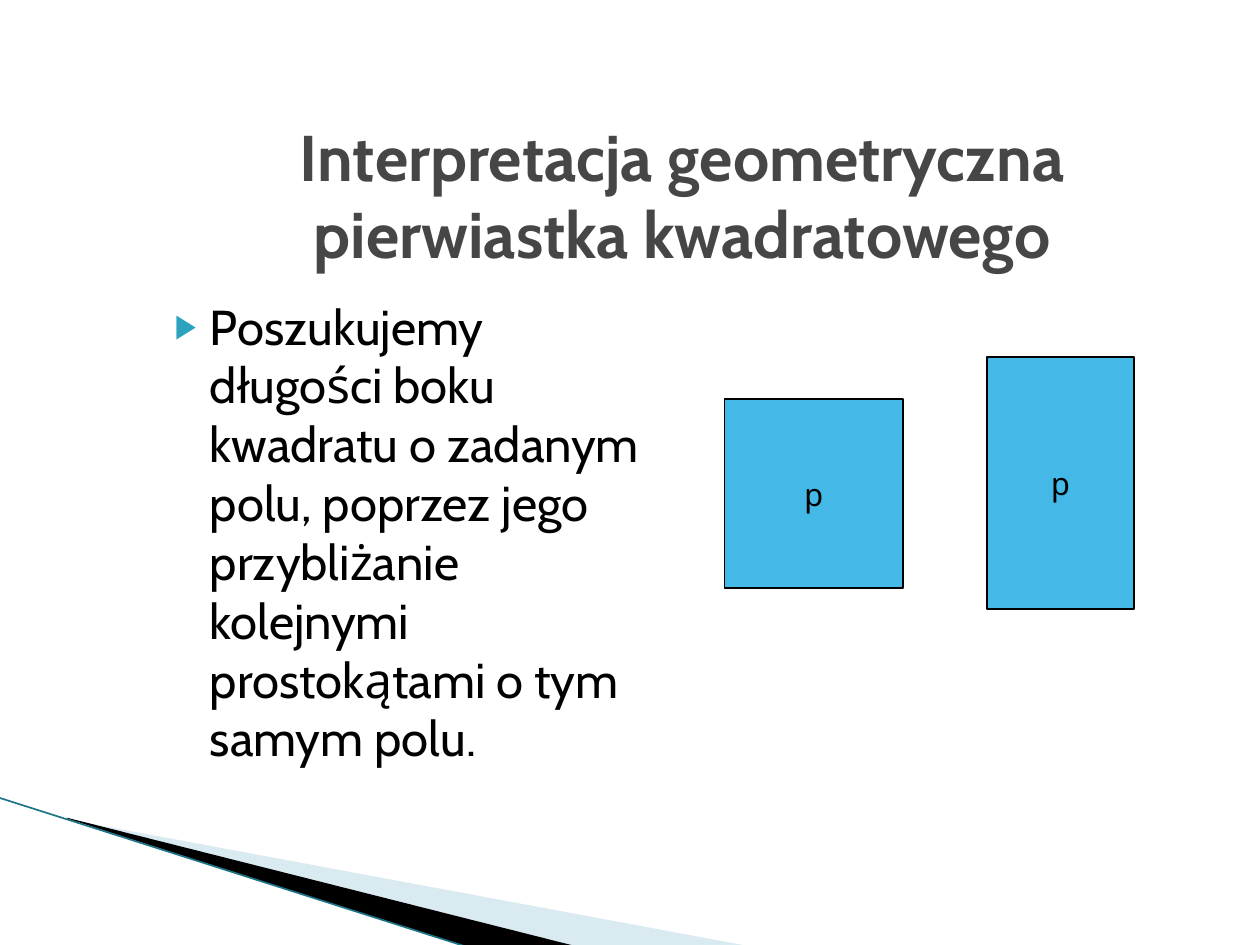
from lxml import etree
from pptx import Presentation
from pptx.dml.color import RGBColor
from pptx.enum.shapes import MSO_CONNECTOR, MSO_SHAPE
from pptx.enum.text import MSO_ANCHOR, MSO_AUTO_SIZE, PP_ALIGN
from pptx.oxml.ns import qn
from pptx.util import Pt

CENTER = PP_ALIGN.CENTER
MIDDLE, TOP = MSO_ANCHOR.MIDDLE, MSO_ANCHOR.TOP
NO_AUTOFIT = MSO_AUTO_SIZE.NONE
RECTANGLE = MSO_SHAPE.RECTANGLE
STRAIGHT = MSO_CONNECTOR.STRAIGHT

BLACK = RGBColor(0x00, 0x00, 0x00)
TITLE_GRAY = RGBColor(0x46, 0x46, 0x46)
BLUE = RGBColor(0x44, 0xB9, 0xE8)
PALE_BLUE = RGBColor(0xA0, 0xCB, 0xDC)
TEAL = RGBColor(0x1E, 0x74, 0x87)
BULLET_TEAL = RGBColor(0x2D, 0xA2, 0xBF)
TEXT_FONT, LABEL_FONT = "Cabin", "Noto Sans Mono"

TITLE = "Interpretacja geometryczna pierwiastka kwadratowego"
BODY = ("Poszukujemy długości boku kwadratu o zadanym polu, poprzez jego "
        "przybliżanie kolejnymi prostokątami o tym samym polu.")
TITLE_BOX = (84, 66, 612, 90)
BODY_BOX = (84, 165.6, 300, 324)
AREA_LABEL = "p"
AREAS = [(414, 228, 102, 108), (564, 204, 84, 144)]
WEDGES = [
    ([(39.6, 468.4), (428.4, 540.7), (328.3, 540.7), (39.6, 468)], PALE_BLUE, 40),
    ([(38.2, 467.3), (329, 540.7), (267.8, 541.4), (38.9, 468)], BLACK, 100),
]
EDGE = (-0.7, 455.8, 267.8, 541.4)
UNITS_PER_POINT = 10


def points(values):
    return [Pt(value) for value in values]


def place(shape, box):
    shape.left, shape.top, shape.width, shape.height = points(box)


def style_text(paragraph, size, font_name, color, bold=False):
    font = paragraph.font
    font.size, font.name, font.bold = Pt(size), font_name, bold
    font.color.rgb = color


def fill_placeholder(placeholder, box, text, anchor):
    place(placeholder, box)
    frame = placeholder.text_frame
    frame.text = text
    frame.word_wrap = True
    frame.auto_size = NO_AUTOFIT
    frame.vertical_anchor = anchor
    paragraph = frame.paragraphs[0]
    paragraph.space_before = Pt(0)
    return paragraph


def add_bullet(paragraph):
    properties = paragraph._p.get_or_add_pPr()
    properties.set("marL", str(Pt(28.8)))
    properties.set("indent", str(-Pt(20.16)))
    color = etree.SubElement(properties, qn("a:buClr"))
    etree.SubElement(color, qn("a:srgbClr"), val=str(BULLET_TEAL))
    etree.SubElement(properties, qn("a:buSzPct"), val="68000")
    etree.SubElement(properties, qn("a:buChar"), char="▶")


def add_wedge(shapes, corners, color, opacity):
    start, *rest = [[round(v * UNITS_PER_POINT) for v in corner] for corner in corners]
    builder = shapes.build_freeform(*start, scale=Pt(1) / UNITS_PER_POINT)
    builder.add_line_segments(rest, close=True)
    wedge = builder.convert_to_shape()
    wedge.shadow.inherit = False
    wedge.fill.solid()
    wedge.fill.fore_color.rgb = color
    wedge.line.fill.background()
    if opacity < 100:
        color_element = wedge._element.spPr.find(".//" + qn("a:srgbClr"))
        etree.SubElement(color_element, qn("a:alpha"), val=str(opacity * 1000))
    return wedge


def add_edge(shapes):
    edge = shapes.add_connector(STRAIGHT, *points(EDGE))
    edge.line.color.rgb = TEAL
    edge.line.width = Pt(0.95)
    etree.SubElement(edge._element.spPr, qn("a:effectLst"))
    return edge


def add_area(shapes, box):
    area = shapes.add_shape(RECTANGLE, *points(box))
    area.shadow.inherit = False
    area.fill.solid()
    area.fill.fore_color.rgb = BLUE
    area.line.color.rgb = BLACK
    area.line.width = Pt(0.75)
    frame = area.text_frame
    frame.text = AREA_LABEL
    frame.word_wrap = False
    frame.vertical_anchor = MIDDLE
    label = frame.paragraphs[0]
    label.alignment = CENTER
    style_text(label, 18, LABEL_FONT, BLACK)


def main():
    presentation = Presentation()
    presentation.slide_width, presentation.slide_height = Pt(720), Pt(540)
    slide = presentation.slides.add_slide(presentation.slide_layouts[1])
    shapes = slide.shapes

    title = fill_placeholder(shapes.title, TITLE_BOX, TITLE, MIDDLE)
    title.alignment = CENTER
    style_text(title, 36.9, TEXT_FONT, TITLE_GRAY, bold=True)

    body = fill_placeholder(slide.placeholders[1], BODY_BOX, BODY, TOP)
    add_bullet(body)
    style_text(body, 28, TEXT_FONT, BLACK)

    decorations = [add_wedge(shapes, *wedge) for wedge in WEDGES]
    decorations.append(add_edge(shapes))
    for decoration in decorations:
        shapes.title._element.addprevious(decoration._element)

    for box in AREAS:
        add_area(shapes, box)
    presentation.save("out.pptx")


if __name__ == "__main__":
    main()
